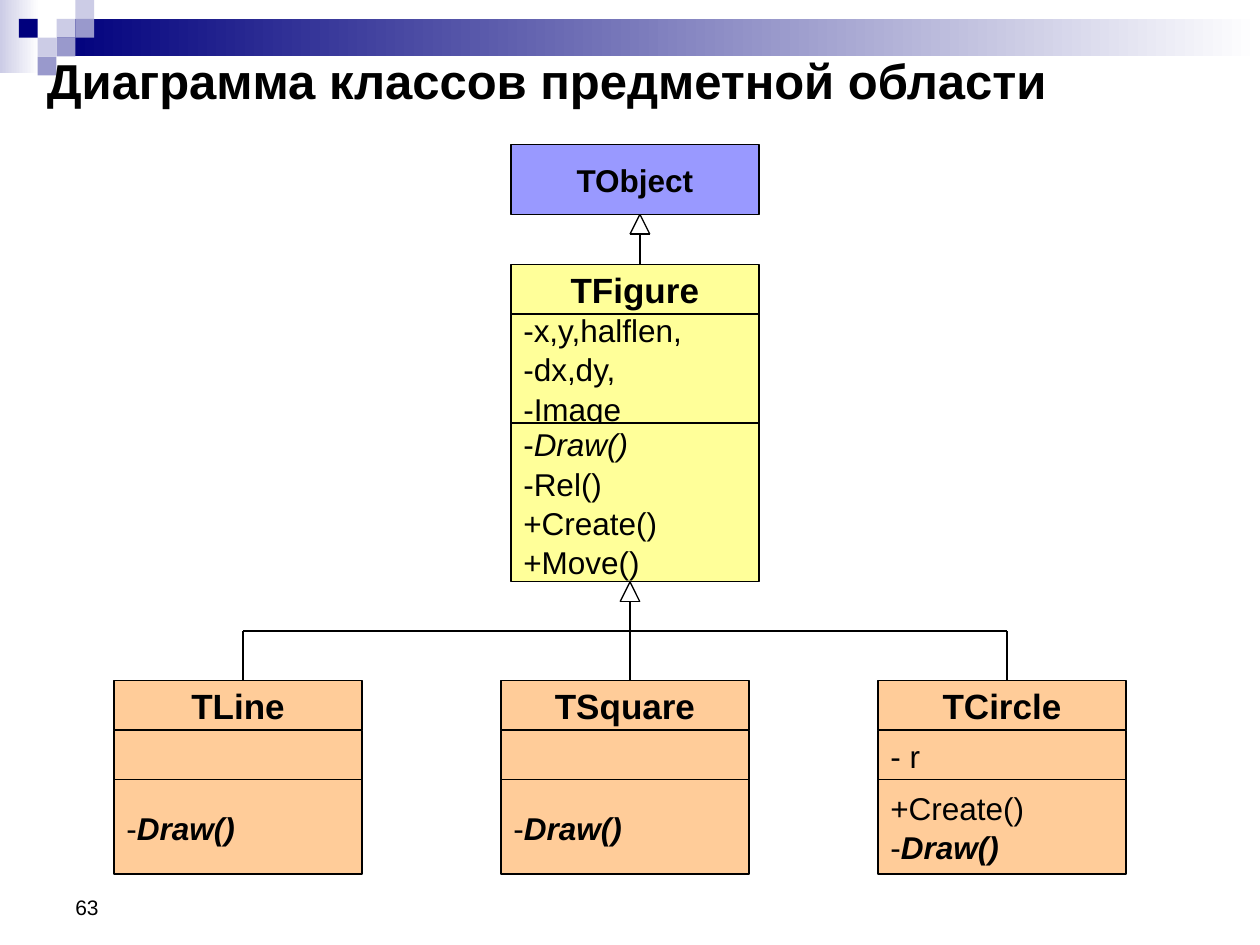
from dataclasses import dataclass

from lxml import etree
from pptx import Presentation
from pptx import util as u
from pptx.dml.color import RGBColor
from pptx.enum import shapes, text
from pptx.oxml import ns


@dataclass(frozen=True)
class Theme:
    font: str = "Arial"
    ink: str = "000000"
    white: str = "FFFFFF"
    navy: str = "00007D"
    pale: str = "CCCCE6"
    lilac: str = "9999CC"
    root: str = "9999FF"
    base: str = "FFFF99"
    child: str = "FFCC99"
    title_size: int = 28
    name_size: int = 20
    body_size: int = 18
    number_size: int = 12
    line_width: float = 0.75
    line_spacing: float = 1.04


PLAIN, BOLD = {}, {"bold": True}
ITALIC, BOLD_ITALIC = {"italic": True}, {"bold": True, "italic": True}


class ClassDiagram:
    """Holds the theme and the current slide and draws each kind of element."""

    def __init__(self, page, theme):
        self.page, self.theme = page, theme

    def fill_text(self, box, lines, size, align=text.PP_ALIGN.LEFT,
                  anchor=text.MSO_ANCHOR.MIDDLE, spacing=1.0):
        """Each line is a list of (words, format) pairs."""
        frame = box.text_frame
        frame_format = {"word_wrap": True, "vertical_anchor": anchor,
                        "auto_size": text.MSO_AUTO_SIZE.NONE}
        for name, value in frame_format.items():
            setattr(frame, name, value)
        for index, line in enumerate(lines):
            para = frame.add_paragraph() if index else frame.paragraphs[0]
            para.alignment, para.line_spacing = align, spacing
            for words, style in line:
                span = para.add_run()
                span.text = words
                font_format = {"name": self.theme.font, "size": u.Pt(size), **style}
                for name, value in font_format.items():
                    setattr(span.font, name, value)
                span.font.color.rgb = RGBColor.from_string(self.theme.ink)

    def title(self, words, *place):
        box = self.page.shapes.title
        box.left, box.top, box.width, box.height = map(u.Cm, place)
        self.fill_text(box, [[(words, BOLD)]], self.theme.title_size)
        # Keep the title in front of the decoration
        box.element.getparent().append(box.element)

    def label(self, words, *place):
        box = self.page.shapes.add_textbox(*map(u.Cm, place))
        self.fill_text(box, [[(words, PLAIN)]], self.theme.number_size,
                       anchor=text.MSO_ANCHOR.BOTTOM)

    def block(self, place, *colors):
        """Borderless rectangle; two colours make a left-to-right gradient."""
        box = self.page.shapes.add_shape(shapes.MSO_SHAPE.RECTANGLE, *map(u.Cm, place))
        box.shadow.inherit = False
        box.line.fill.background()
        if len(colors) == 1:
            box.fill.solid()
            box.fill.fore_color.rgb = RGBColor.from_string(colors[0])
        else:
            box.fill.gradient()
            box.fill.gradient_angle = 0
            for stop, color in zip(box.fill.gradient_stops, colors):
                stop.color.rgb = RGBColor.from_string(color)
        return box

    def outline(self, line):
        line.color.rgb = RGBColor.from_string(self.theme.ink)
        line.width = u.Pt(self.theme.line_width)

    def class_box(self, left, top, color, name, heights, *parts, name_size=None):
        """Name compartment followed by attribute and method compartments."""
        contents = ([[(name, BOLD)]], *parts)
        for index, (height, lines) in enumerate(zip(heights, contents)):
            box = self.block((left, top, CLASS_WIDTH, height), color)
            self.outline(box.line)
            if index == 0:
                self.fill_text(box, lines, name_size or self.theme.name_size,
                               text.PP_ALIGN.CENTER)
            elif lines:
                self.fill_text(box, lines, self.theme.body_size,
                               spacing=self.theme.line_spacing)
            top += height

    def line(self, *ends):
        link = self.page.shapes.add_connector(
            shapes.MSO_CONNECTOR.STRAIGHT, *map(u.Cm, ends))
        self.outline(link.line)
        etree.SubElement(link.element.spPr, ns.qn("a:effectLst"))

    def inheritance(self, x, top, bottom):
        """Open triangle with its stem."""
        half, base = 0.2, top + 0.4
        self.line(x, top, x - half, base)
        self.line(x, top, x + half, base)
        self.line(x - half, base, x + half, base)
        self.line(x, base, x, bottom)


# Layout, in centimetres
CLASS_WIDTH = 5
PARENT_LEFT, ROOT_TOP, ROOT_HEIGHT = 10.3, 2.92, 1.4
FIGURE_TOP, FIGURE_HEIGHTS = 5.33, (1, 2.2, 3.2)
BUS_TOP, CHILD_TOP, CHILD_HEIGHTS = 12.72, 13.72, (1, 1, 1.9)
DROP_OFFSET = 2.6
CELL = 0.38


def decorate(diagram):
    theme = diagram.theme
    diagram.block((0, 0, 0.79, 1.47), theme.pale, theme.white)
    diagram.block((3 * CELL, CELL, 24.26, 0.76), theme.navy, theme.white)
    cells = [(3, 1, theme.pale), (4, 0, theme.pale), (4, 1, theme.lilac),
             (2, 2, theme.pale), (1, 1, theme.navy), (3, 2, theme.lilac),
             (2, 3, theme.lilac)]
    for column, row, color in cells:
        diagram.block((column * CELL, row * CELL, CELL, CELL), color)


def main():
    deck = Presentation()
    deck.slide_width, deck.slide_height = u.Cm(25.4), u.Cm(19.05)
    theme = Theme()
    diagram = ClassDiagram(deck.slides.add_slide(deck.slide_layouts[5]), theme)

    # Decoration, slide number and title
    decorate(diagram)
    diagram.label("63", 1.27, 17.35, 5.92, 1.32)
    diagram.title("Диаграмма классов предметной области", 0.69, 0.71, 24.05, 1.8)

    # Parent classes
    diagram.class_box(PARENT_LEFT, ROOT_TOP, theme.root, "TObject", [ROOT_HEIGHT],
                      name_size=theme.body_size)
    fields = [[(words, PLAIN)] for words in ("-x,y,halflen,", "-dx,dy,", "-Image")]
    methods = [[("-", PLAIN), ("Draw()", ITALIC)]]
    methods += [[(words, PLAIN)] for words in ("-Rel()", "+Create()", "+Move()")]
    diagram.class_box(PARENT_LEFT, FIGURE_TOP, theme.base, "TFigure",
                      FIGURE_HEIGHTS, fields, methods)

    # Child classes, each with its drop from the shared line
    draw = [("-", PLAIN), ("Draw()", BOLD_ITALIC)]
    children = [
        (2.3, "TLine", [], [draw]),
        (10.1, "TSquare", [], [draw]),
        (17.7, "TCircle", [[("- r", PLAIN)]], [[("+Create()", PLAIN)], draw]),
    ]
    drops = [left + DROP_OFFSET for left, *_ in children]
    for drop, (left, name, *parts) in zip(drops, children):
        diagram.class_box(left, CHILD_TOP, theme.child, name, CHILD_HEIGHTS, *parts)
        diagram.line(drop, BUS_TOP, drop, CHILD_TOP)

    # Inheritance arrows and the shared line
    diagram.inheritance(12.9, ROOT_TOP + ROOT_HEIGHT, FIGURE_TOP)
    diagram.inheritance(drops[1], FIGURE_TOP + sum(FIGURE_HEIGHTS), BUS_TOP)
    diagram.line(drops[0], BUS_TOP, drops[-1], BUS_TOP)

    deck.save("out.pptx")


if __name__ == "__main__":
    main()
